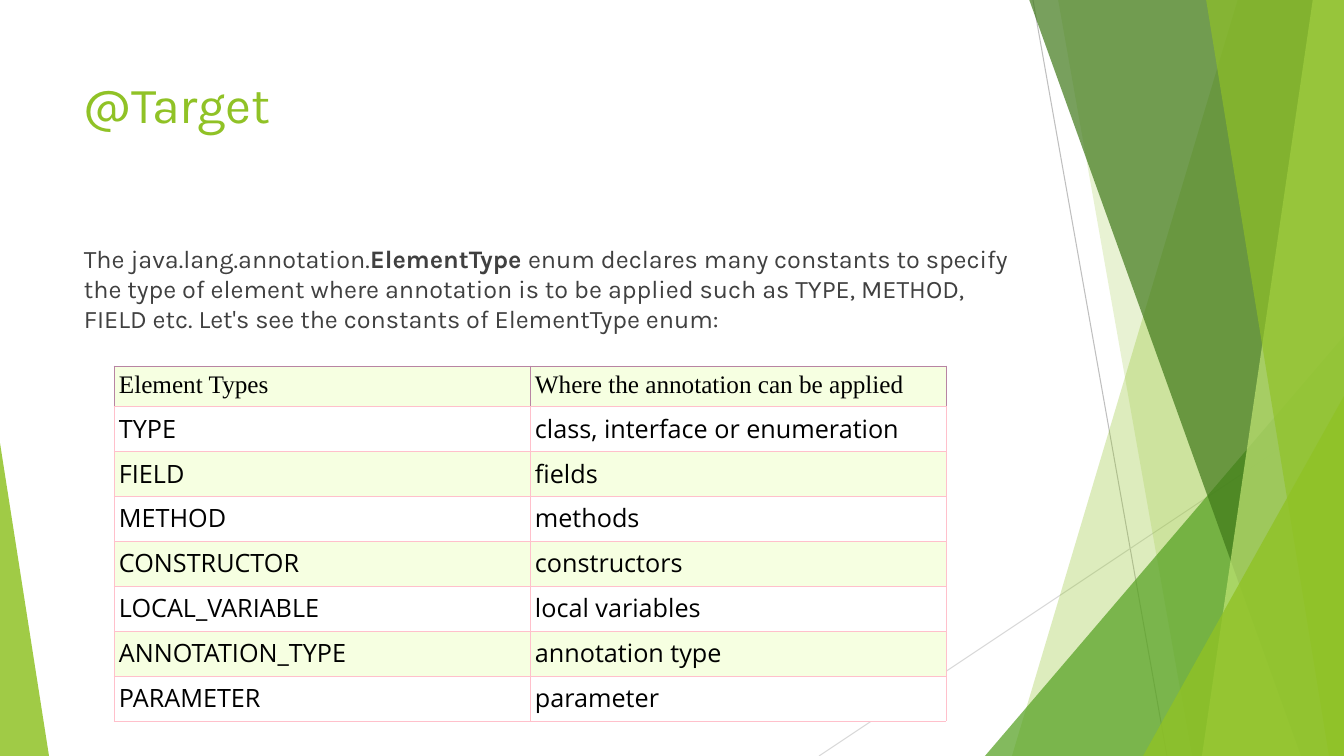
from lxml.etree import SubElement
from pptx import Presentation
from pptx.dml.color import RGBColor
from pptx.enum.shapes import MSO_CONNECTOR, MSO_SHAPE
from pptx.enum.text import PP_ALIGN
from pptx.oxml import parse_xml
from pptx.oxml.ns import nsdecls, qn
from pptx.util import Emu, Pt

SCALE = 914400 / 100.8
SLIDE_BOX = (0, 0, 1344, 756)
TITLE_BOX = (74, 68, 948, 145)
BODY_BOX = (74, 238, 948, 427)
TABLE_BOX = (114, 366, 832, 353)
HEADER_HEIGHT = 38
INSET = 5

WHITE = RGBColor(0xFF, 0xFF, 0xFF)
BLACK = RGBColor(0x00, 0x00, 0x00)
GRAY = RGBColor(0x40, 0x40, 0x40)
LINE_GRAY = RGBColor(0xBF, 0xBF, 0xBF)
LIGHT_LINE = RGBColor(0xD9, 0xD9, 0xD9)
LIME = RGBColor(0x90, 0xC2, 0x26)
GREEN = RGBColor(0x54, 0xA0, 0x21)
DARK_GREEN = RGBColor(0x3F, 0x78, 0x19)
PALE_GREEN = RGBColor(0xC0, 0xE4, 0x74)
ROW_TINT = RGBColor(0xF6, 0xFF, 0xE1)
PINK = RGBColor(0xFF, 0xC0, 0xCB)
MAUVE = RGBColor(0xB8, 0x84, 0xA3)

ELEMENT_TYPES = [
    ("Element Types", "Where the annotation can be applied"),
    ("TYPE", "class, interface or enumeration"),
    ("FIELD", "fields"),
    ("METHOD", "methods"),
    ("CONSTRUCTOR", "constructors"),
    ("LOCAL_VARIABLE", "local variables"),
    ("ANNOTATION_TYPE", "annotation type"),
    ("PARAMETER", "parameter"),
]


def px(length):
    return Emu(round(length * SCALE))


def paint(shape, color, opacity):
    shape.shadow.inherit = False
    shape.line.fill.background()
    shape.fill.solid()
    shape.fill.fore_color.rgb = color
    color_element = shape.fill._xPr.find(qn("a:solidFill"))[0]
    SubElement(color_element, qn("a:alpha"), val=str(opacity * 1000))


def add_line(slide, start, end, color):
    line = slide.shapes.add_connector(
        MSO_CONNECTOR.STRAIGHT, *map(px, start + end))
    line.line.color.rgb = color
    line.line.width = Pt(0.75)
    SubElement(line._element.spPr, qn("a:effectLst"))


def add_panel(slide, box, top_x, bottom_x, color, opacity):
    left, top, width, height = box
    right, bottom = left + width, top + height
    builder = slide.shapes.build_freeform(left + top_x, top - 1, SCALE)
    builder.add_line_segments(
        [(right, top - 1), (right, bottom), (left + bottom_x, bottom)])
    paint(builder.convert_to_shape(), color, opacity)


def add_corner(slide, box, side, width, height, color, opacity):
    box_left, box_top, box_width, box_height = box
    left = box_left + side * (box_width - width)
    top = box_top + box_height - height
    corner = slide.shapes.add_shape(
        MSO_SHAPE.ISOSCELES_TRIANGLE, *map(px, (left, top, width, height)))
    corner.adjustments[0] = side
    paint(corner, color, opacity)


def add_facets(slide, box):
    left, top, width, height = box
    bottom = top + height
    add_line(slide, (left + 1033, top), (left + 1167, bottom), LINE_GRAY)
    add_line(slide, (left + width, top + 406), (left + 819, bottom), LIGHT_LINE)
    add_panel(slide, box, 1238, 1012, LIME, 30)
    add_panel(slide, box, 1058, 1192, LIME, 20)
    add_corner(slide, box, 1, 359, 420, GREEN, 72)
    add_panel(slide, box, 1029, 1301, DARK_GREEN, 70)
    add_panel(slide, box, 1313, 1202, PALE_GREEN, 70)
    add_panel(slide, box, 1206, 1329, LIME, 65)
    add_corner(slide, box, 1, 201, 360, LIME, 80)
    add_corner(slide, box, 0, 49, 313, LIME, 85)


def add_text(slide, box, runs, size, color):
    frame = slide.shapes.add_textbox(*map(px, box)).text_frame
    frame.word_wrap = True
    paragraph = frame.paragraphs[0]
    paragraph.font.name = "Karla"
    paragraph.font.size = Pt(size)
    paragraph.font.color.rgb = color
    for text, bold in runs:
        run = paragraph.add_run()
        run.text = text
        if bold:
            run.font.bold = True


def set_borders(cell, side_color, top_color, bottom_color):
    properties = cell._tc.get_or_add_tcPr()
    colors = (side_color, side_color, top_color, bottom_color)
    for position, (edge, color) in enumerate(zip("LRTB", colors)):
        properties.insert(position, parse_xml(
            f'<a:ln{edge} {nsdecls("a")} w="{Pt(0.75)}"><a:solidFill>'
            f'<a:srgbClr val="{color}"/></a:solidFill></a:ln{edge}>'))


def fill_cell(cell, text, row_index):
    is_header = row_index == 0
    cell.text = text
    cell.margin_left = cell.margin_right = px(INSET)
    cell.margin_top = cell.margin_bottom = px(INSET)
    cell.fill.solid()
    cell.fill.fore_color.rgb = WHITE if row_index % 2 else ROW_TINT
    edge_color = MAUVE if is_header else PINK
    set_borders(cell, edge_color, edge_color, PINK)
    paragraph = cell.text_frame.paragraphs[0]
    paragraph.alignment = PP_ALIGN.LEFT if is_header else PP_ALIGN.JUSTIFY
    paragraph.font.name = "Times New Roman" if is_header else "Open Sans"
    paragraph.font.size = Pt(18)
    paragraph.font.bold = False
    paragraph.font.color.rgb = BLACK


def add_element_table(slide, box):
    height = box[3]
    row_count = len(ELEMENT_TYPES)
    table = slide.shapes.add_table(row_count, 2, *map(px, box)).table
    table.first_row = False
    table.horz_banding = False
    row_height = (height - HEADER_HEIGHT) / (row_count - 1)
    for row_index, texts in enumerate(ELEMENT_TYPES):
        table.rows[row_index].height = px(row_height if row_index else HEADER_HEIGHT)
        for column_index, text in enumerate(texts):
            fill_cell(table.cell(row_index, column_index), text, row_index)


def main():
    presentation = Presentation()
    presentation.slide_width = px(SLIDE_BOX[2])
    presentation.slide_height = px(SLIDE_BOX[3])
    slide = presentation.slides.add_slide(presentation.slide_layouts[6])
    add_facets(slide, SLIDE_BOX)
    add_text(slide, TITLE_BOX, [("@Target", False)], 36, LIME)
    add_text(slide, BODY_BOX, [
        ("The java.lang.annotation.", False),
        ("ElementType ", True),
        ("enum declares many constants to specify the type of element where "
         "annotation is to be applied such as TYPE, METHOD, FIELD etc. Let's "
         "see the constants of ElementType enum:", False),
    ], 18, GRAY)
    add_element_table(slide, TABLE_BOX)
    presentation.save("out.pptx")


if __name__ == "__main__":
    main()
